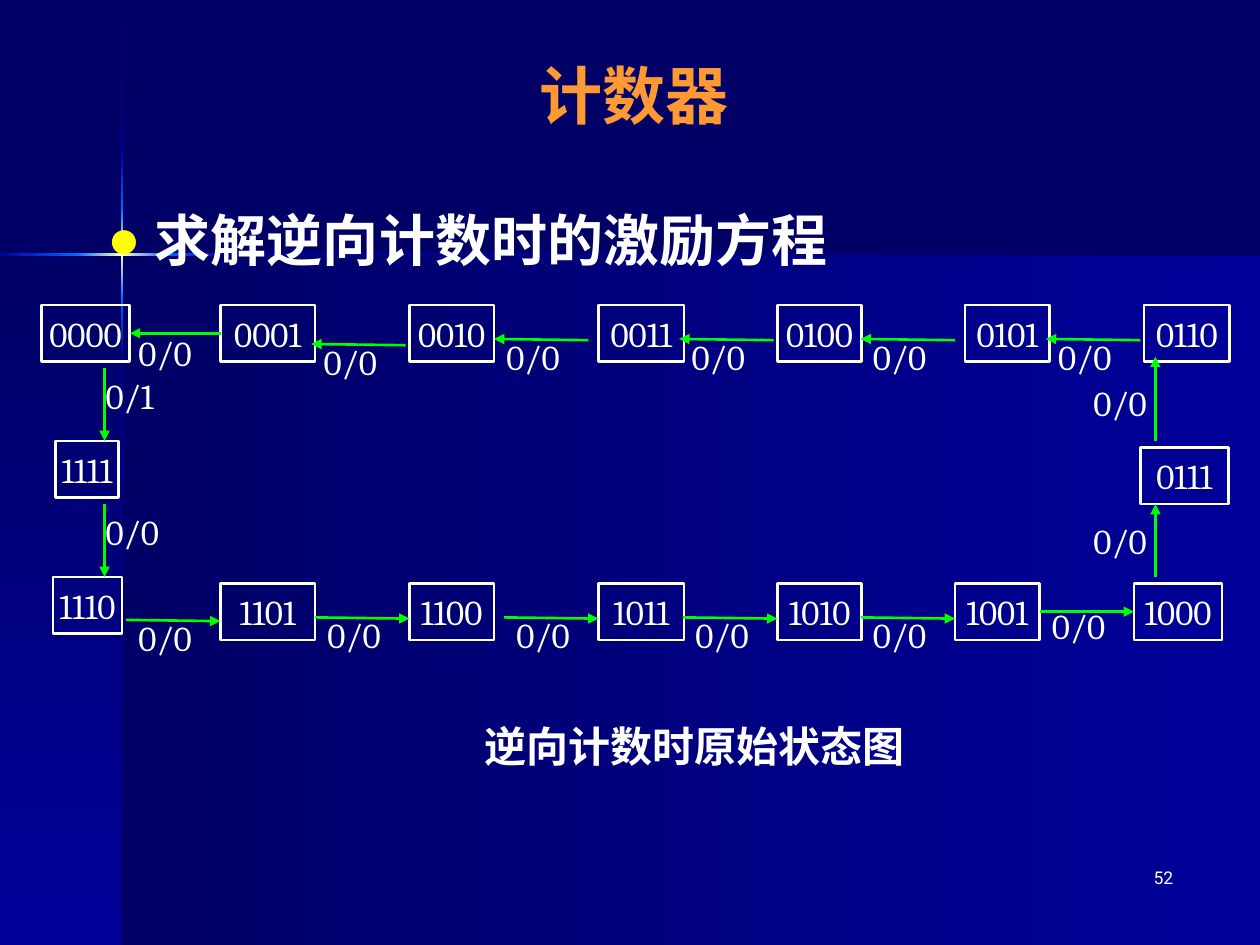
from copy import deepcopy
from dataclasses import dataclass
from math import hypot

from pptx import Presentation
from pptx.dml.color import RGBColor
from pptx.enum.shapes import MSO_CONNECTOR as Connector, MSO_SHAPE as Shape
from pptx.enum.text import MSO_ANCHOR as Anchor, MSO_AUTO_SIZE as AutoSize, PP_ALIGN as Align
from pptx.oxml.ns import qn
from pptx.util import Inches, Pt
from lxml.etree import SubElement


@dataclass(frozen=True)
class Theme:
    night: str = "000066"
    navy: str = "000099"
    glow: str = "0066FF"
    spark: str = "FFFFCC"
    title: str = "FF9933"
    text: str = "FFFFFF"
    bullet: str = "FFFF00"
    arrow: str = "00FF00"
    sans: str = "Roboto"
    serif: str = "Cambria"
    title_size: int = 36
    body_size: int = 32
    caption_size: int = 24
    state_size: int = 20
    number_size: int = 10
    line_width: float = 1.5


THEME = Theme()
ARROW_SPAN = 0.75
JOIN_REACH = Inches(0.04)

# Backdrop bands: left, top, width, height, angle, colours
BACKDROP = [
    (0.97, 2.02, 9.03, 5.48, 0, (THEME.night, THEME.navy)),
    (0, 2.02, 0.97, 5.48, 270, (THEME.night, THEME.navy)),
    (0.96, 0.01, 0.02, 1.21, 270, (THEME.night, THEME.navy)),
    (0.96, 2.82, 0.02, 4.68, 270, (THEME.navy, THEME.night)),
    (1.77, 2.01, 8.23, 0.02, 0, (THEME.navy, THEME.night)),
    (0.96, 2.38, 0.02, 0.44, 270, (THEME.glow, THEME.navy)),
    (0.96, 1.21, 0.02, 0.44, 270, (THEME.navy, THEME.glow)),
    (0.96, 1.65, 0.02, 0.73, 270, (THEME.glow, THEME.spark, THEME.glow)),
    (0, 2.01, 0.61, 0.02, 0, (THEME.navy, THEME.glow)),
    (1.33, 2.01, 0.44, 0.02, 0, (THEME.glow, THEME.navy)),
    (0.6, 2.01, 0.73, 0.02, 0, (THEME.glow, THEME.spark, THEME.glow)),
]

# State boxes by row top: code, left, width
STATES = {
    2.42: [("0000", 0.33, 0.7), ("0001", 1.75, 0.75), ("0010", 3.25, 0.67),
           ("0011", 4.75, 0.68), ("0100", 6.17, 0.67), ("0101", 7.66, 0.67),
           ("0110", 9.08, 0.68)],
    3.5: [("1111", 0.44, 0.5)],
    3.55: [("0111", 9.05, 0.7)],
    4.58: [("1110", 0.42, 0.55)],
    4.63: [("1101", 1.75, 0.75), ("1100", 3.25, 0.67), ("1011", 4.75, 0.68),
           ("1010", 6.17, 0.67), ("1001", 7.58, 0.67), ("1000", 9, 0.7)],
}

# Starts of the arrows in each row
LEFTWARD = [(1.75, 2.67), (3.22, 2.74), (4.67, 2.7), (6.14, 2.7), (7.58, 2.7), (9.05, 2.7)]
RIGHTWARD = [(1, 4.92), (2.5, 4.9), (4, 4.9), (5.42, 4.9), (6.83, 4.9), (8.25, 4.83)]

# Side arrows: start, end, label, label position
VERTICAL = [
    ((0.83, 2.92), (0.83, 3.5), "0/1", (0.74, 2.92)),
    ((0.83, 4), (0.83, 4.58), "0/0", (0.74, 4)),
    ((9.17, 4.58), (9.17, 4), "0/0", (8.58, 4.07)),
    ((9.17, 3.5), (9.17, 2.83), "0/0", (8.58, 2.98)),
]


def color(code):
    return RGBColor.from_string(code)


def apply(target, values):
    for name, value in values.items():
        setattr(target, name, value)


def place(shape, left, top, width, height):
    apply(shape, {"left": Inches(left), "top": Inches(top),
                  "width": Inches(width), "height": Inches(height)})


def write(shape, text, size, font=THEME.serif, fill=THEME.text, bold=False,
          align=Align.LEFT, **frame):
    apply(shape.text_frame, {"word_wrap": True, "auto_size": AutoSize.NONE,
                             "vertical_anchor": Anchor.TOP} | frame)
    para = shape.text_frame.paragraphs[0]
    apply(para, {"alignment": align, "space_before": Pt(0)})
    span = para.add_run()
    span.text = text
    apply(span.font, {"size": Pt(size), "name": font, "bold": bold})
    span.font.color.rgb = color(fill)
    return para


def add_text(page, area, text, size, **style):
    box = page.shapes.add_textbox(*map(Inches, area))
    write(box, text, size, **style)


def add_rectangle(page, area):
    box = page.shapes.add_shape(Shape.RECTANGLE, *map(Inches, area))
    box.shadow.inherit = False
    return box


def add_band(page, area, angle, colors):
    band = add_rectangle(page, area)
    band.line.fill.background()
    band.fill.gradient()
    band.fill.gradient_angle = angle
    if len(colors) == 3:
        stops = band.element.spPr.find(".//" + qn("a:gsLst"))
        stops.insert(1, deepcopy(stops[0]))
    for index, (stop, code) in enumerate(zip(band.fill.gradient_stops, colors)):
        stop.color.rgb = color(code)
        stop.position = index / (len(colors) - 1)


def add_state(page, code, left, top, width):
    box = add_rectangle(page, (left, top, width, 0.45))
    box.fill.background()
    box.line.color.rgb = color(THEME.text)
    box.line.width = Pt(THEME.line_width)
    write(box, code, THEME.state_size, align=Align.CENTER,
          vertical_anchor=Anchor.MIDDLE, margin_left=0, margin_right=0)
    return box


def join(connect, x, y, states):
    """Attach an arrow end to the state whose side has its middle there."""
    for state in states:
        middle_x, middle_y = state.left + state.width / 2, state.top + state.height / 2
        sites = [(middle_x, state.top), (state.left, middle_y),
                 (middle_x, state.top + state.height), (state.left + state.width, middle_y)]
        for index, (site_x, site_y) in enumerate(sites):
            if hypot(site_x - x, site_y - y) < JOIN_REACH:
                connect(state, index)


def add_transition(page, states, start, end, label, label_at, label_width=0.75):
    arrow = page.shapes.add_connector(Connector.STRAIGHT, *map(Inches, start + end))
    arrow.line.color.rgb = color(THEME.arrow)
    arrow.line.width = Pt(THEME.line_width)
    SubElement(arrow.line._get_or_add_ln(), qn("a:tailEnd"), type="triangle")
    SubElement(arrow.element.spPr, qn("a:effectLst"))
    join(arrow.begin_connect, *map(Inches, start), states)
    join(arrow.end_connect, *map(Inches, end), states)
    add_text(page, (*label_at, label_width, 0.43), label, THEME.state_size)


def add_bullet(para):
    props = para._p.get_or_add_pPr()
    props.set("marL", str(Inches(0.38)))
    props.set("indent", str(-Inches(0.38)))
    SubElement(SubElement(props, qn("a:buClr")), qn("a:srgbClr"), val=THEME.bullet)
    SubElement(props, qn("a:buChar"), char="●")


def main():
    deck = Presentation()
    deck.slide_width, deck.slide_height = Inches(10), Inches(7.5)
    page = deck.slides.add_slide(deck.slide_layouts[1])

    # Backdrop, kept behind the placeholders
    page.background.fill.solid()
    page.background.fill.fore_color.rgb = color(THEME.night)
    for *area, angle, colors in BACKDROP:
        add_band(page, area, angle, colors)
    title, body = page.placeholders
    for holder in (title, body):
        page.shapes.element.append(holder.element)

    # Title, bullet and page number
    place(title, 0.5, 0.33, 9.17, 0.83)
    write(title, "计数器 ", THEME.title_size, font=THEME.sans, fill=THEME.title,
          bold=True, align=Align.CENTER, vertical_anchor=Anchor.MIDDLE)
    place(body, 0.75, 1.58, 8.67, 5.08)
    add_bullet(write(body, "求解逆向计数时的激励方程", THEME.body_size,
                     font=THEME.sans, bold=True))
    add_text(page, (7.33, 6.83, 2.08, 0.5), "52", THEME.number_size,
             font=THEME.sans, align=Align.RIGHT)

    # State diagram
    states = [add_state(page, code, left, top, width)
              for top, row in STATES.items() for code, left, width in row]
    for x, y in LEFTWARD:
        add_transition(page, states, (x, y), (x - ARROW_SPAN, y - 0.01), "0/0",
                       (x - ARROW_SPAN, y - 0.09))
    for x, y in RIGHTWARD:
        add_transition(page, states, (x, y), (x + ARROW_SPAN, y + 0.01), "0/0",
                       (x, y - 0.08))
    for step in VERTICAL:
        add_transition(page, states, *step, label_width=0.67)

    # Caption
    add_text(page, (3.75, 5.67, 3.75, 0.5), "逆向计数时原始状态图",
             THEME.caption_size, bold=True)
    deck.save("out.pptx")


if __name__ == "__main__":
    main()
